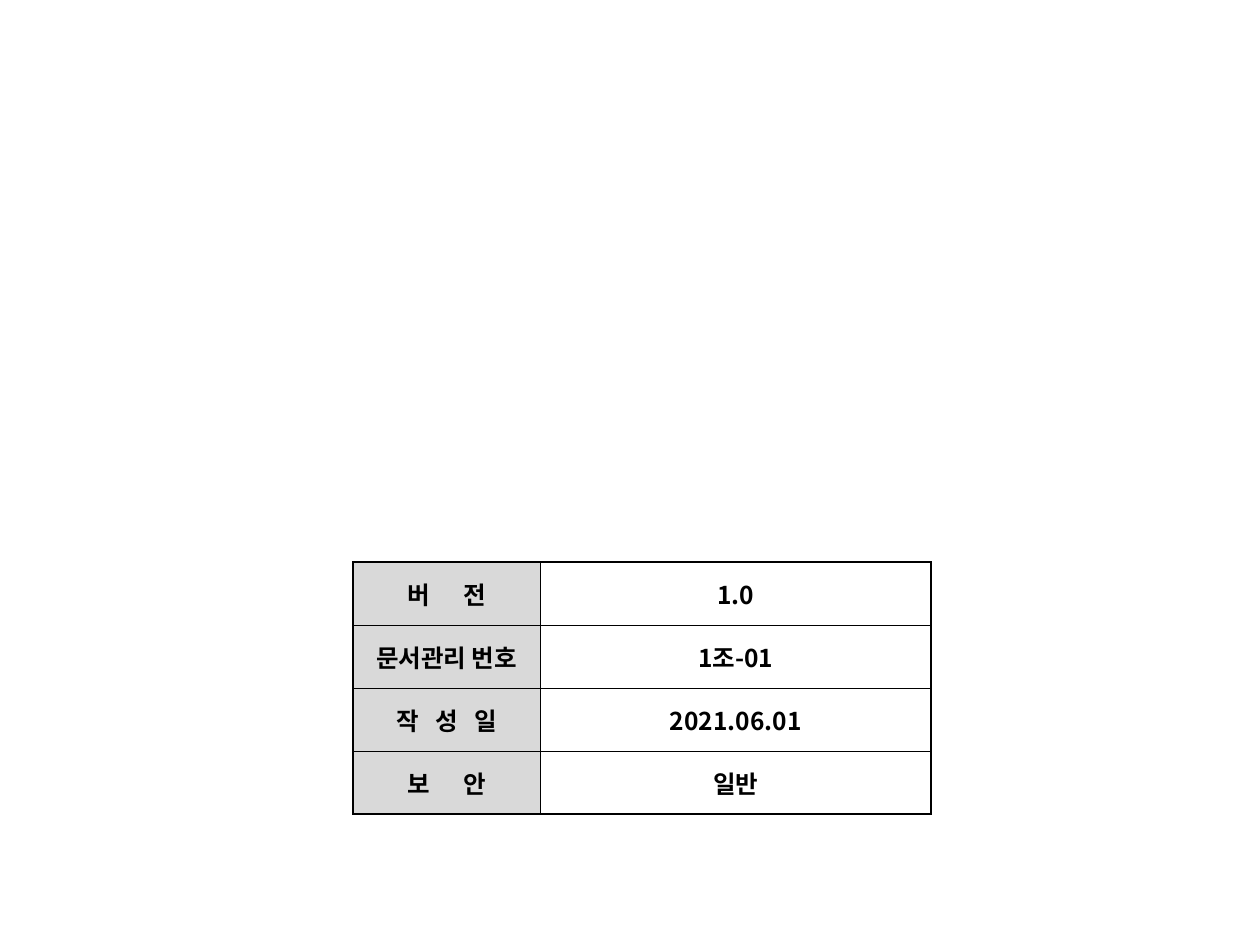
from pptx import Presentation
from pptx.dml.color import RGBColor
from pptx.enum.text import MSO_ANCHOR, PP_ALIGN
from pptx.oxml.ns import qn
from pptx.util import Inches, Pt
from lxml.etree import SubElement

BLACK = RGBColor(0, 0, 0)
WHITE = RGBColor(255, 255, 255)
GREY = RGBColor(0xD9, 0xD9, 0xD9)
FONT = "Noto Sans CJK KR"
SPACE = 3.14  # width of one space at 14 pt, in points

COL_WIDTHS = (1.49, 3.1)
ROW_HEIGHT = 0.5
# label, gap between its words in spaces, value
ROWS = [
    ("버 전", 6, "1.0"),
    ("문서관리 번호", 1, "1조-01"),
    ("작 성 일", 3, "2021.06.01"),
    ("보 안", 6, "일반"),
]
CELL_FORMAT = {
    "vertical_anchor": MSO_ANCHOR.MIDDLE,
    "margin_left": Inches(0.07),
    "margin_right": Inches(0.07),
    "margin_top": 0,
    "margin_bottom": 0,
}
FONT_FORMAT = {"name": FONT, "size": Pt(14), "bold": True}


def add_run(p, text, spacing=0):
    r = p.add_run()
    r.text = text
    for name, value in FONT_FORMAT.items():
        setattr(r.font, name, value)
    r.font.color.rgb = BLACK
    rPr = r.font._element
    SubElement(rPr, qn("a:ea"), typeface=FONT)
    if spacing:
        rPr.set("spc", str(round(spacing * 100)))


def write_text(p, text, gap):
    """Write the text, widening each space to the width of gap spaces."""
    p.alignment = PP_ALIGN.CENTER
    if gap == 1:
        add_run(p, text)
        return
    for i, word in enumerate(text.split()):
        if i:
            add_run(p, " ", (gap - 1) * SPACE)
        add_run(p, word)


def set_borders(cell, widths):
    tcPr = cell._tc.get_or_add_tcPr()
    for i, (side, width) in enumerate(widths.items()):
        ln = SubElement(tcPr, qn(f"a:ln{side}"), w=str(Pt(width)))
        fill = SubElement(ln, qn("a:solidFill"))
        SubElement(fill, qn("a:srgbClr"), val=str(BLACK))
        tcPr.insert(i, ln)


def format_cell(cell, text, gap, fill, borders):
    for name, value in CELL_FORMAT.items():
        setattr(cell, name, value)
    cell.fill.solid()
    cell.fill.fore_color.rgb = fill
    set_borders(cell, borders)
    write_text(cell.text_frame.paragraphs[0], text, gap)


def add_document_table(s):
    table = s.shapes.add_table(
        len(ROWS), len(COL_WIDTHS), Inches(2.8), Inches(4.46),
        Inches(sum(COL_WIDTHS)), Inches(ROW_HEIGHT * len(ROWS))).table
    table.first_row = table.horz_banding = False
    for column, width in zip(table.columns, COL_WIDTHS):
        column.width = Inches(width)
    for i, (label, gap, value) in enumerate(ROWS):
        table.rows[i].height = Inches(ROW_HEIGHT)
        borders = {"L": 1, "R": 1,
                   "T": 1 if i == 0 else 0.5,
                   "B": 1 if i == len(ROWS) - 1 else 0.5}
        format_cell(table.cell(i, 0), label, gap, GREY, borders)
        format_cell(table.cell(i, 1), value, 1, WHITE, borders)


def main():
    prs = Presentation()
    prs.slide_width, prs.slide_height = Inches(10), Inches(7.5)
    s = prs.slides.add_slide(prs.slide_layouts[6])
    add_document_table(s)
    prs.save("out.pptx")


if __name__ == "__main__":
    main()
